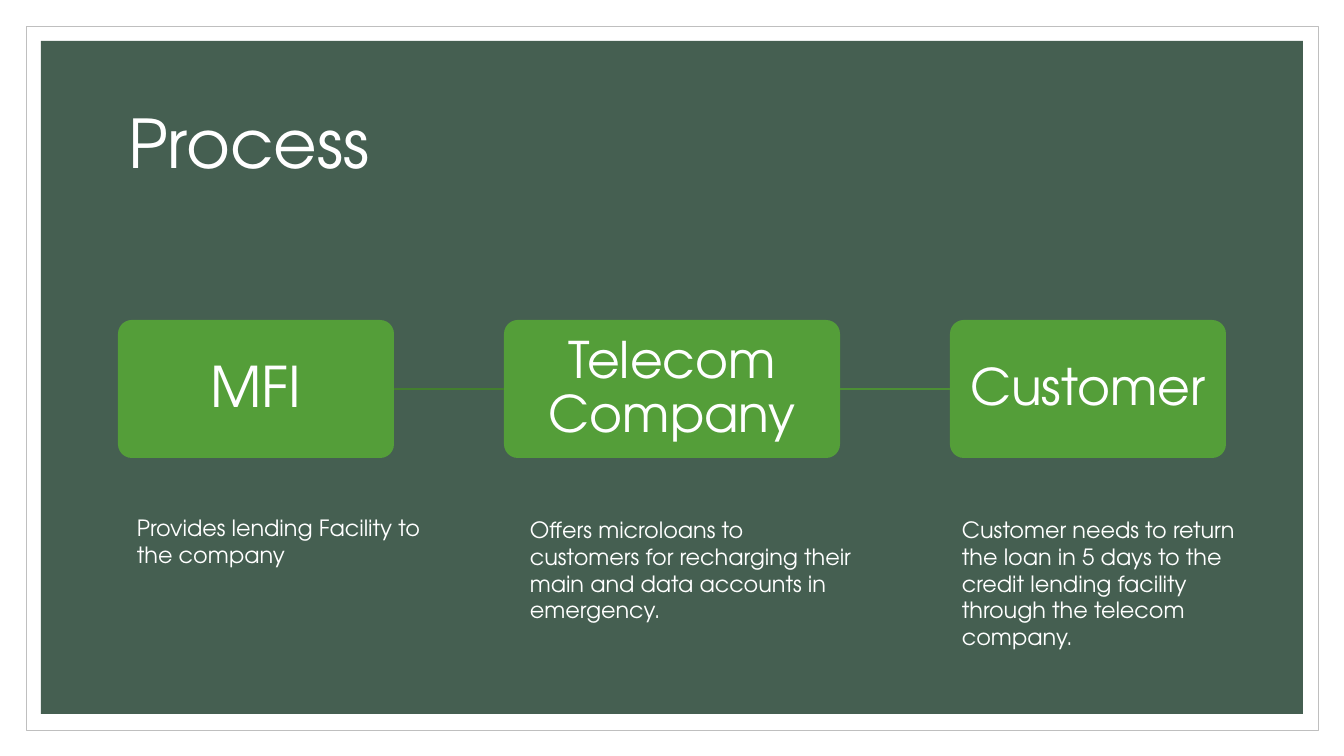
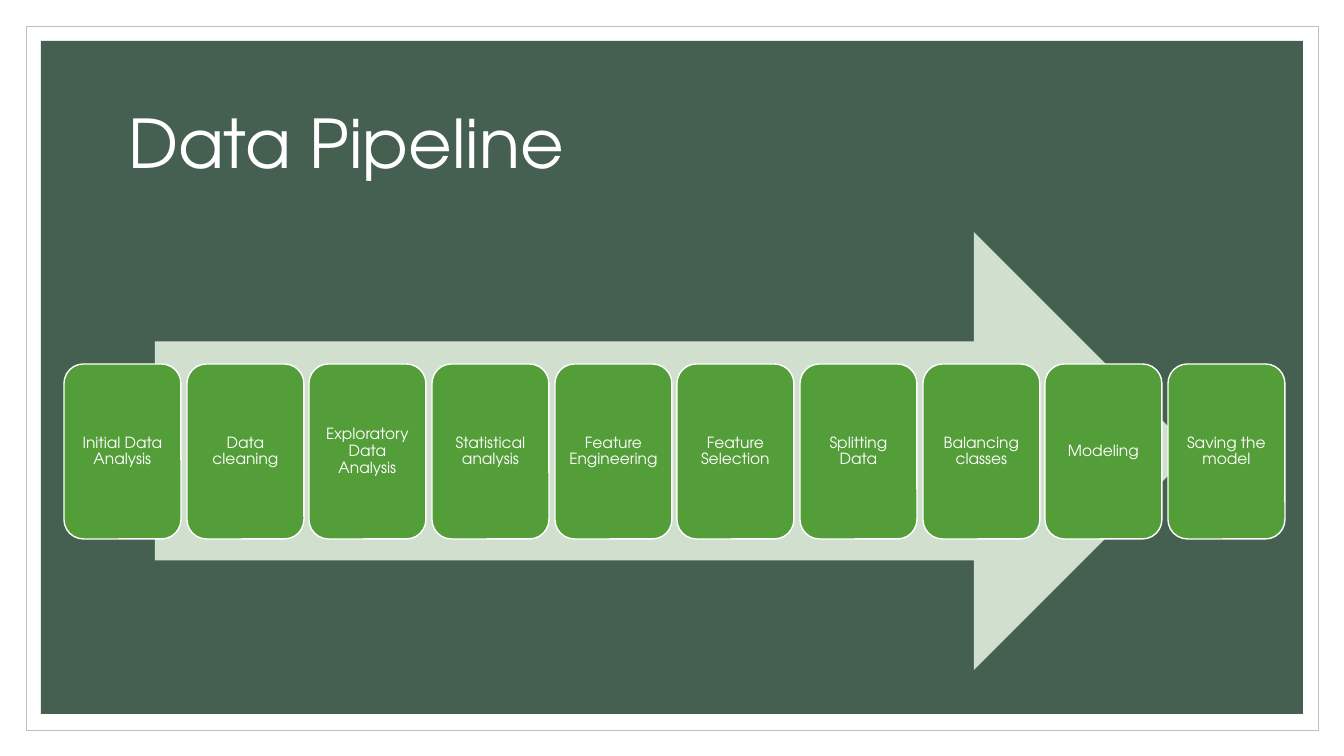
import pptx
import pptx.dml.color
import pptx.enum.shapes
import pptx.enum.text
import pptx.oxml
import pptx.oxml.ns
import pptx.util

SHAPE = pptx.enum.shapes.MSO_SHAPE
ALIGN = pptx.enum.text.PP_ALIGN
ANCHOR = pptx.enum.text.MSO_ANCHOR
FIT = pptx.enum.text.MSO_AUTO_SIZE

WHITE, GREY, DARK = "FFFFFF", "BFBFBF", "455F51"
GREEN, PALE = "549E39", "D1DFCE"
FONT = "TeX Gyre Adventor"
SCALE = 9144000 / 1008  # EMU in one px


def emu(*px):
    return [pptx.util.Emu(round(n * SCALE)) for n in px]


def color(code):
    return pptx.dml.color.RGBColor.from_string(code)


def apply(item, values):
    for name, value in values.items():
        setattr(item, name, value)


class Deck:
    def __init__(self, width, height):
        self.file = pptx.Presentation()
        size = emu(width, height)
        apply(self.file, {"slide_width": size[0], "slide_height": size[1]})
        self.layout = self.file.slide_layouts[5]
        for holder in list(self.layout.placeholders):
            if holder.placeholder_format.idx:
                self.layout.shapes.element.remove(holder.element)
        self.slide = None

    def start(self, title):
        """Add a slide; the first one also gives the layout its frame."""
        first = self.slide is None
        self.slide = self.file.slides.add_slide(self.layout)
        if first:
            self.frame()
        holder = self.slide.shapes.title
        names = ("left", "top", "width", "height")
        apply(holder, dict(zip(names, emu(118, 71, 1109, 151))))
        self.label(holder, title, 48, anchor=ANCHOR.MIDDLE, space=0.9)

    def frame(self):
        parts = [
            self.shape(SHAPE.RECTANGLE, (26, 26, 1292, 704), WHITE, GREY, 0.5),
            self.shape(SHAPE.RECTANGLE, (41, 41, 1262, 673), DARK),
        ]
        for place, part in enumerate(parts, 2):
            self.layout.shapes.element.insert(place, part.element)

    def shape(self, kind, box, fill, line=None, weight=1):
        item = self.slide.shapes.add_shape(kind, *emu(*box))
        item.shadow.inherit = False
        item.fill.solid()
        item.fill.fore_color.rgb = color(fill)
        if line:
            self.stroke(item, line, weight)
        else:
            item.line.fill.background()
        return item

    def stroke(self, item, code, weight):
        item.line.color.rgb = color(code)
        item.line.width = pptx.util.Pt(weight)

    def card(self, box, text, size, inset, line=None, round_by=None):
        item = self.shape(SHAPE.ROUNDED_RECTANGLE, box, GREEN, line)
        if round_by:
            item.adjustments[0] = round_by
        self.label(item, text, size, ALIGN.CENTER, ANCHOR.MIDDLE, 0.9, inset)
        return item

    def note(self, box, text):
        item = self.slide.shapes.add_textbox(*emu(*box))
        self.label(item, text, 16, fit=FIT.SHAPE_TO_FIT_TEXT)

    def link(self, start, end, code):
        """Join the right side of one card to the left side of the next."""
        kind = pptx.enum.shapes.MSO_CONNECTOR.STRAIGHT
        item = self.slide.shapes.add_connector(kind, 0, 0, 0, 0)
        item.begin_connect(start, 3)
        item.end_connect(end, 1)
        self.stroke(item, code, 1)
        blank = pptx.oxml.parse_xml(
            "<a:effectLst %s/>" % pptx.oxml.ns.nsdecls("a"))
        item.element.spPr.append(blank)

    def label(self, item, text, size, align=ALIGN.LEFT, anchor=ANCHOR.TOP,
              space=1.0, inset=None, fit=FIT.NONE):
        frame = item.text_frame
        apply(frame, {"word_wrap": True, "auto_size": fit,
                      "vertical_anchor": anchor})
        if inset is not None:
            sides = ("left", "top", "right", "bottom")
            apply(frame, {"margin_" + s: emu(inset)[0] for s in sides})
        para = frame.paragraphs[0]
        apply(para, {"alignment": align, "line_spacing": space})
        run = para.add_run()
        run.text = text
        apply(run.font, {"name": FONT, "size": pptx.util.Pt(size)})
        run.font.color.rgb = color(WHITE)


def process(deck):
    deck.start("Process")

    # Cards in a row with equal gaps
    cards, left, gap = [], 118, 110
    for text, width, size in (("MFI", 276, 40),
                              ("Telecom Company", 336, 36),
                              ("Customer", 276, 36)):
        box = (left, 320, width, 138)
        cards.append(deck.card(box, text, size, 3, round_by=0.1))
        left += width + gap

    # Links between neighbours
    for start, end, code in zip(cards, cards[1:], ("437F2E", "4C8F34")):
        deck.link(start, end, code)

    # Notes under the cards
    for box, text in (
        ((127, 509, 304, 65), "Provides lending Facility to the company"),
        ((520, 511, 344, 119),
         "Offers microloans to customers for recharging their main and data "
         "accounts in emergency."),
        ((952, 511, 313, 146),
         "Customer needs to return the loan in 5 days to the credit lending "
         "facility through the telecom company."),
    ):
        deck.note(box, text)


def pipeline(deck):
    deck.start("Data Pipeline")
    deck.shape(SHAPE.RIGHT_ARROW, (155, 232, 1038, 438), PALE)

    # Steps spread evenly from the first to the last
    steps = ("Initial Data Analysis", "Data cleaning",
             "Exploratory Data Analysis", "Statistical analysis",
             "Feature Engineering", "Feature Selection", "Splitting Data",
             "Balancing classes", "Modeling", "Saving the model")
    first, last = 64, 1168
    for i, text in enumerate(steps):
        left = first + round(i * (last - first) / (len(steps) - 1))
        deck.card((left, 364, 117, 175), text, 11, 5, WHITE)


def main():
    deck = Deck(1344, 756)
    process(deck)
    pipeline(deck)
    deck.file.save("out.pptx")


if __name__ == "__main__":
    main()
